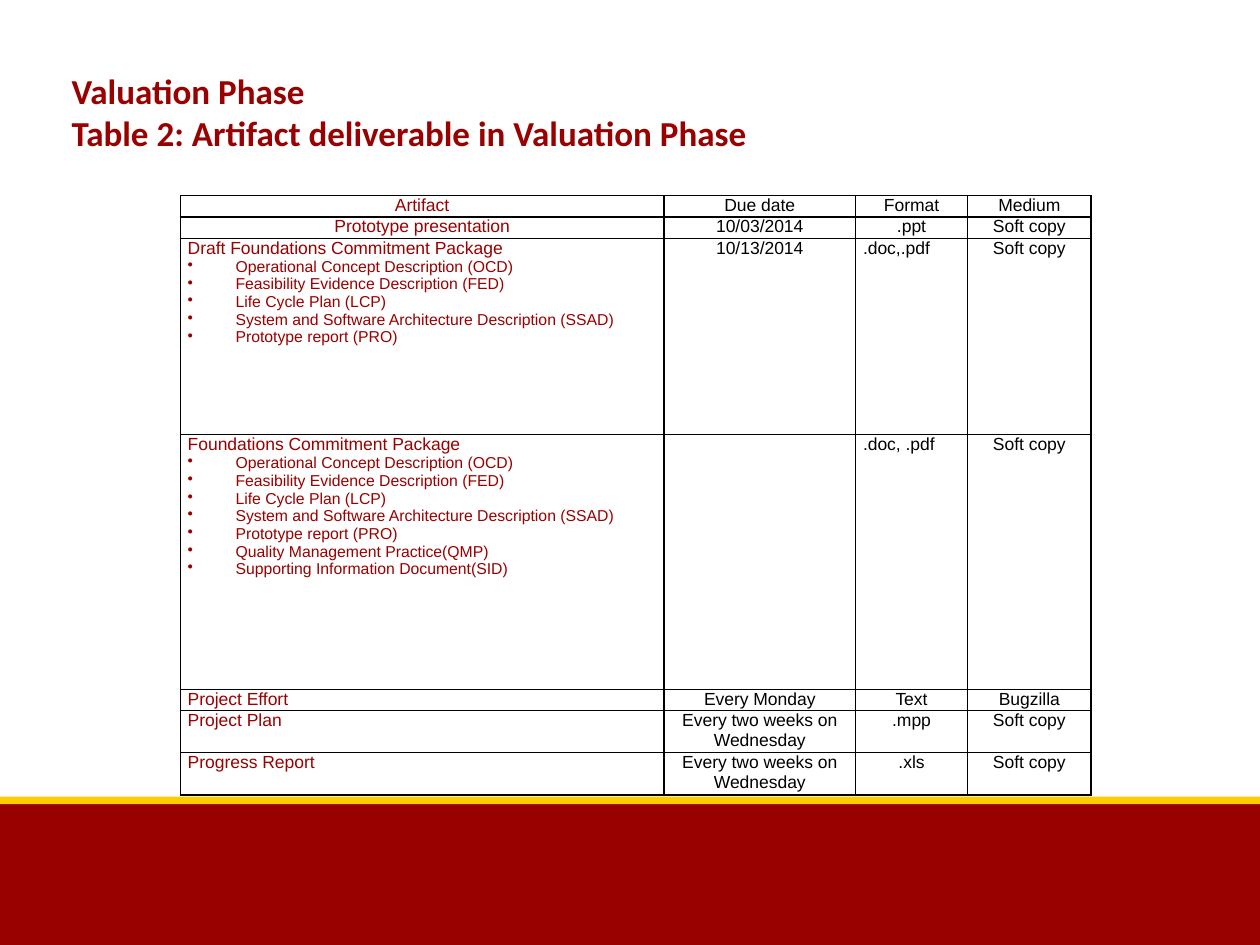
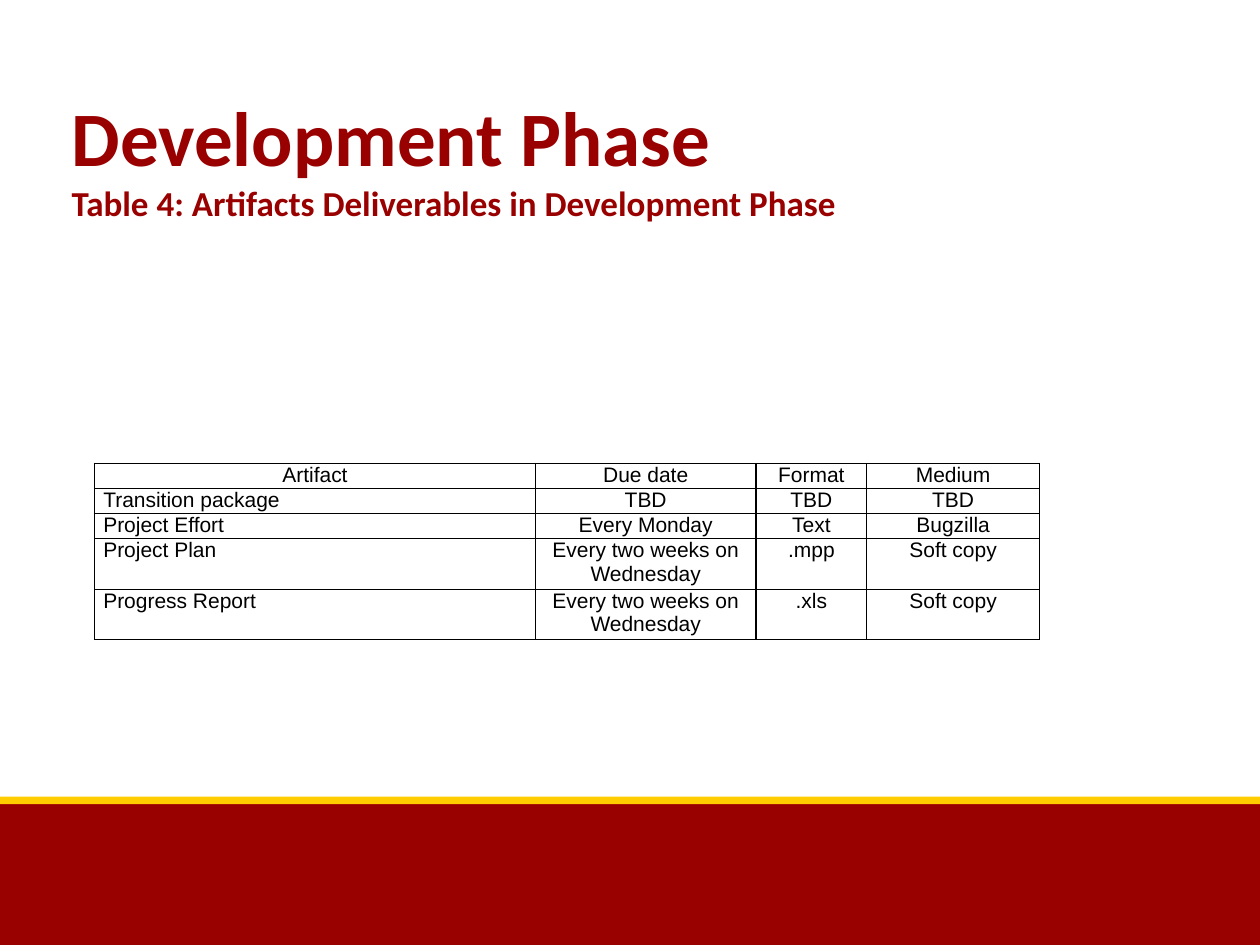
from dataclasses import dataclass

from lxml.etree import SubElement
from pptx import Presentation
from pptx.dml.color import RGBColor
from pptx.enum.shapes import MSO_SHAPE
from pptx.enum.text import MSO_ANCHOR, PP_ALIGN
from pptx.oxml.ns import qn
from pptx.util import Inches, Pt


@dataclass(frozen=True)
class Theme:
    cardinal: RGBColor = RGBColor(0x99, 0x00, 0x00)
    gold: RGBColor = RGBColor(0xFF, 0xCC, 0x00)
    ink: RGBColor = RGBColor(0x00, 0x00, 0x00)
    title_font: str = "Calibri"
    table_font: str = "Arial"
    headline: int = 44
    subtitle: int = 20
    large_cell: int = 12
    cell: int = 10
    document: int = 9
    border: float = 0.75
    document_indent: float = 0.38


THEME = Theme()
WIDTH, HEIGHT = Inches(10), Inches(7.5)

HEADER = ("Artifact", "Due date", "Format", "Medium")
EVERY_TWO_WEEKS = "Every two weeks on Wednesday"
RECURRING = [
    ("Project Effort", "Every Monday", "Text", "Bugzilla"),
    ("Project Plan", EVERY_TWO_WEEKS, ".mpp", "Soft copy"),
    ("Progress Report", EVERY_TWO_WEEKS, ".xls", "Soft copy"),
]
DRAFT_DOCUMENTS = [
    "Operational Concept Description (OCD)",
    "Feasibility Evidence Description (FED)",
    "Life Cycle Plan (LCP)",
    "System and Software Architecture Description (SSAD)",
    "Prototype report (PRO)",
]
FINAL_DOCUMENTS = DRAFT_DOCUMENTS + [
    "Quality Management Practice(QMP)",
    "Supporting Information Document(SID)",
]


def package(name, documents):
    return "\n".join([name] + documents)


VALUATION = [
    HEADER,
    ("Prototype presentation", "10/03/2014", ".ppt", "Soft copy"),
    (package("Draft Foundations Commitment Package", DRAFT_DOCUMENTS),
     "10/13/2014", ".doc,.pdf", "Soft copy"),
    (package("Foundations Commitment Package", FINAL_DOCUMENTS),
     "", ".doc, .pdf", "Soft copy"),
] + RECURRING
DEVELOPMENT = [HEADER, ("Transition package", "TBD", "TBD", "TBD")] + RECURRING


def across(share):
    return int(WIDTH * share)


def down(share):
    return int(HEIGHT * share)


def style(paragraph, font_name, size, color, bold=False):
    font = paragraph.font
    font.name, font.size, font.bold = font_name, Pt(size), bold
    font.color.rgb = color


def add_band(slide, top, height, color):
    band = slide.shapes.add_shape(
        MSO_SHAPE.RECTANGLE, 0, down(top), WIDTH, down(height))
    band.shadow.inherit = False
    band.fill.solid()
    band.fill.fore_color.rgb = color
    band.line.fill.background()


def add_title(slide, lines, top_inset):
    title = slide.shapes.add_textbox(
        across(0.047), down(0.06), across(0.903), down(0.152))
    frame = title.text_frame
    frame.word_wrap = True
    frame.vertical_anchor = MSO_ANCHOR.TOP
    frame.margin_left = frame.margin_right = frame.margin_bottom = Inches(0.1)
    frame.margin_top = Inches(top_inset)
    frame.text = "\n".join(text for text, _ in lines)
    for paragraph, (_, size) in zip(frame.paragraphs, lines):
        style(paragraph, THEME.title_font, size, THEME.cardinal, bold=True)


def add_borders(cell):
    properties = cell._tc.get_or_add_tcPr()
    for side in ("lnL", "lnR", "lnT", "lnB"):
        edge = SubElement(properties, qn(f"a:{side}"), w=str(Pt(THEME.border)))
        solid = SubElement(edge, qn("a:solidFill"))
        SubElement(solid, qn("a:srgbClr"), val=str(THEME.ink))


def add_bullet(paragraph):
    indent = Inches(THEME.document_indent)
    properties = paragraph._p.get_or_add_pPr()
    properties.set("marL", str(indent))
    properties.set("indent", str(-indent))
    SubElement(properties, qn("a:buChar"), char="•")


def fill_cell(cell, text, size, color, alignment, side_margin):
    cell.margin_left = cell.margin_right = Inches(side_margin)
    cell.margin_top = cell.margin_bottom = 0
    add_borders(cell)
    cell.fill.background()
    cell.text_frame.text = text
    for index, paragraph in enumerate(cell.text_frame.paragraphs):
        paragraph.alignment = alignment
        if index:
            add_bullet(paragraph)
        style(paragraph, THEME.table_font, THEME.document if index else size, color)


def add_deliverables(slide, rows, left, top, widths, heights, size,
                     artifact_color, centered_rows, side_margin):
    frame = slide.shapes.add_table(
        len(rows), len(HEADER), across(left), down(top),
        Inches(sum(widths)), Inches(sum(heights)))
    table = frame.table
    table.first_row = table.horz_banding = False
    for column, width in zip(table.columns, widths):
        column.width = Inches(width)
    for row, height in zip(table.rows, heights):
        row.height = Inches(height)
    for row_index, row in enumerate(rows):
        for column_index, text in enumerate(row):
            is_artifact = column_index == 0
            is_left = (is_artifact and row_index >= centered_rows
                       or text.startswith(".doc"))
            fill_cell(table.cell(row_index, column_index), text, size,
                      artifact_color if is_artifact else THEME.ink,
                      PP_ALIGN.LEFT if is_left else PP_ALIGN.CENTER,
                      side_margin)


def add_phase_slide(deck, title_lines, top_inset):
    slide = deck.slides.add_slide(deck.slide_layouts[6])
    add_band(slide, 0.847, 0.153, THEME.cardinal)
    add_band(slide, 0.843, 0.008, THEME.gold)
    add_title(slide, title_lines, top_inset)
    return slide


def main():
    deck = Presentation()
    deck.slide_width, deck.slide_height = WIDTH, HEIGHT

    valuation = add_phase_slide(deck, [
        ("Valuation Phase", THEME.subtitle),
        ("Table 2: Artifact deliverable in Valuation Phase", THEME.subtitle),
    ], top_inset=0.1)
    add_deliverables(
        valuation, VALUATION, left=0.143, top=0.207,
        widths=(3.84, 1.52, 0.89, 0.98),
        heights=(0.17, 0.17, 1.56, 2.02, 0.17, 0.33, 0.33),
        size=THEME.cell, artifact_color=THEME.cardinal,
        centered_rows=2, side_margin=0.06)

    development = add_phase_slide(deck, [
        ("Development Phase", THEME.headline),
        ("Table 4: Artifacts Deliverables in Development Phase", THEME.subtitle),
    ], top_inset=0.26)
    add_deliverables(
        development, DEVELOPMENT, left=0.075, top=0.49,
        widths=(3.5, 1.75, 0.88, 1.37),
        heights=(0.19, 0.19, 0.19, 0.37, 0.37),
        size=THEME.large_cell, artifact_color=THEME.ink,
        centered_rows=1, side_margin=0.07)

    deck.save("out.pptx")


if __name__ == "__main__":
    main()
